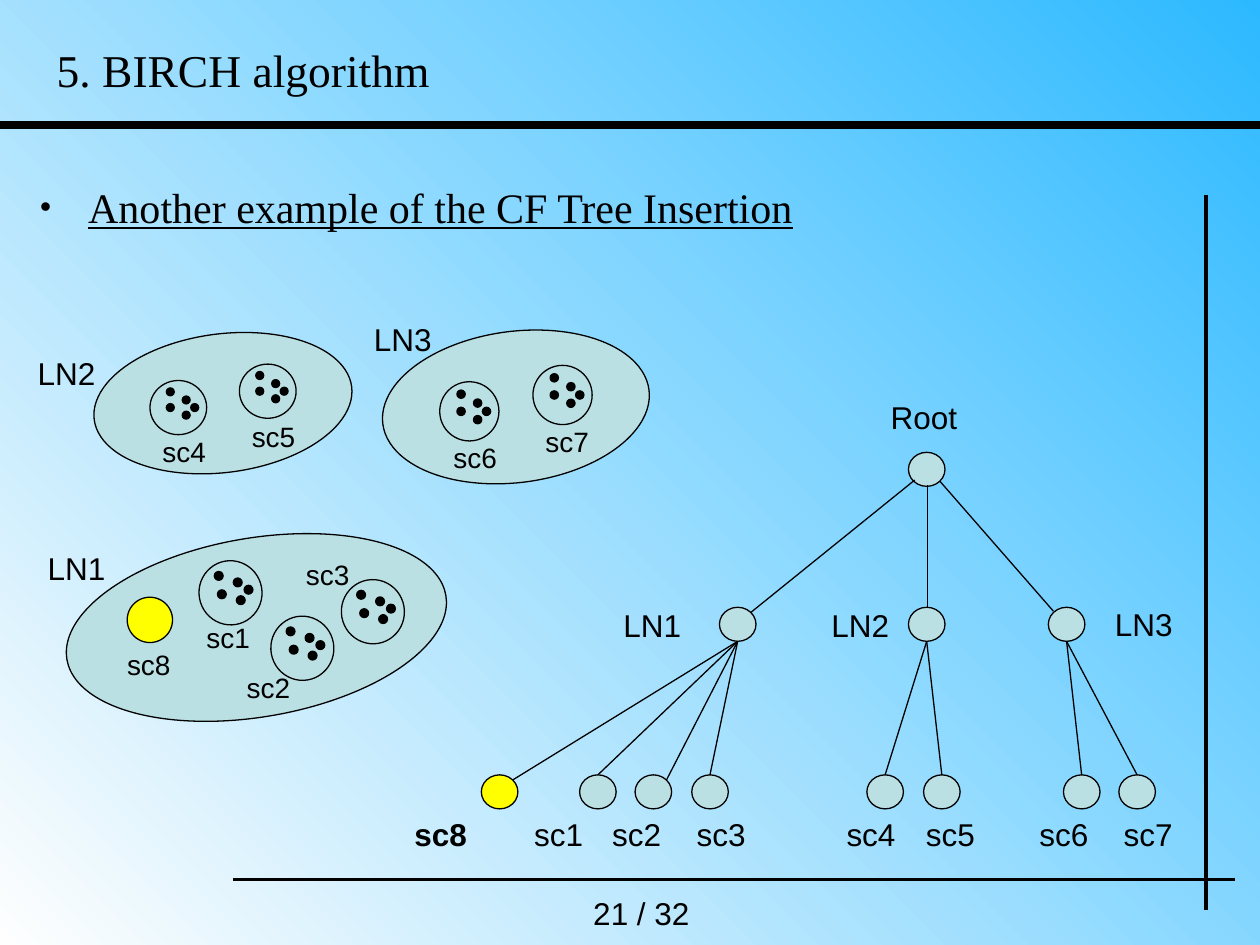
from math import cos, radians, sin

from lxml.etree import SubElement as Sub
from pptx import Presentation
from pptx.dml.color import RGBColor
from pptx.enum.shapes import MSO_CONNECTOR as Link, MSO_SHAPE as Kind
from pptx.enum.text import MSO_ANCHOR as Anchor, MSO_AUTO_SIZE as Auto, PP_ALIGN as Align
from pptx.oxml.ns import qn
from pptx.util import Cm, Pt

BLACK, TEAL, YELLOW = "000000", "BBE0E3", "FFFF00"
NODE_W, NODE_H = 0.29, 0.27
MID_Y, LEAF_Y = 4.82, 6.15
DOTS = [(0.36, 0.21), (0.79, 0.5), (0.64, 0.36), (0.64, 0.64), (0.36, 0.5)]

TREE = [
    ("LN1", 5.71, 4.85, 4.76, (5.96, 4.86), [
        ("sc8", 3.82, 3.19), ("sc1", 4.6, 4.14),
        ("sc2", 5.04, 4.76), ("sc3", 5.49, 5.43)]),
    ("LN2", 7.21, 6.5, 4.76, (7.36, 4.82), [
        ("sc4", 6.88, 6.62), ("sc5", 7.33, 7.25)]),
    ("LN3", 8.32, 8.75, 4.75, (8.36, 4.85), [
        ("sc6", 8.44, 8.15), ("sc7", 8.88, 8.82)]),
]
STARTS = {"LN1": (7.26, 3.81), "LN2": (7.36, 3.85), "LN3": (7.46, 3.82)}
SIDE = ("sc8", "sc2")

GROUPS = [
    ("LN3", (2.87, 2.49), (3.03, 2.63, 2.13, 1.2), -7.3, (0.47, 0.47), 0, [
        ("sc6", (3.49, 3.03), (3.5, 3.45)), ("sc7", (4.23, 2.9), (4.23, 3.32))]),
    ("LN2", (0.2, 2.76), (0.74, 2.65, 2.06, 1.1), -7.3, (0.45, 0.43), 0, [
        ("sc4", (1.19, 3.02), (1.19, 3.4)), ("sc5", (1.9, 2.89), (1.9, 3.28))]),
    ("LN1", (0.28, 4.31), (0.51, 4.27, 3.05, 1.42), -9.6, (0.5, 0.51), -9.7, [
        ("sc1", (1.58, 4.45), (1.54, 4.88)), ("sc2", (2.15, 4.89), (1.86, 5.27)),
        ("sc3", (2.71, 4.6), (2.33, 4.38))]),
]


def tint(code):
    return RGBColor.from_string(code)


def inch(*vals):
    return [Cm(2.54 * val) for val in vals]


def style(font, **form):
    look = {"name": "Arial", "size": Pt(18), **form}
    for key, val in look.items():
        setattr(font, key, val)
    font.color.rgb = tint(BLACK)


def label(slide, text, x, y, w=0.66, h=0.4, wrap=False, **form):
    box = slide.shapes.add_textbox(*inch(x, y, w, h))
    frame = box.text_frame
    frame.word_wrap = wrap
    frame.auto_size = Auto.SHAPE_TO_FIT_TEXT
    para = frame.paragraphs[0]
    run = para.add_run()
    run.text = text
    style(run.font, **form)
    return para


def oval(slide, x, y, w, h, fill=TEAL, turn=0):
    shape = slide.shapes.add_shape(Kind.OVAL, *inch(x, y, w, h))
    shape.shadow.inherit = False
    shape.fill.solid()
    shape.fill.fore_color.rgb = tint(fill)
    shape.line.color.rgb = tint(BLACK)
    shape.line.width = Pt(0.75)
    shape.rotation = turn


def line(slide, start, end, width=0.75):
    link = slide.shapes.add_connector(Link.STRAIGHT, *inch(*start, *end))
    link.line.color.rgb = tint(BLACK)
    link.line.width = Pt(width)
    Sub(link._element.spPr, qn("a:effectLst"))


def paint(slide):
    fill = slide.background.fill
    fill.gradient()
    fill.gradient_angle = 225
    for stop, code in zip(fill.gradient_stops, ("2DB9FF", "FEFEFE")):
        stop.color.rgb = tint(code)


def head(slide, text):
    title = slide.shapes.title
    title.left, title.top, title.width, title.height = inch(0.35, 0.28, 9.45, 0.54)
    frame = title.text_frame
    frame.text = text
    frame.auto_size = Auto.NONE
    frame.vertical_anchor = Anchor.TOP
    para = frame.paragraphs[0]
    para.alignment = Align.LEFT
    style(para.runs[0].font, name="Times New Roman", size=Pt(26))


def bullet(slide, text):
    para = label(slide, text, -0.04, 1.39, 6.54, 0.9, True,
                 name="Times New Roman", size=Pt(24), underline=True)
    props = para._p.get_or_add_pPr()
    props.set("marL", str(Cm(1.63)))
    props.set("indent", str(Cm(-0.97)))
    Sub(props, qn("a:buSzPct"), val="75000")
    Sub(props, qn("a:buFont"), typeface="Arial")
    Sub(props, qn("a:buChar"), char="•")


def cell(slide, x, y, w, h, turn):
    oval(slide, x, y, w, h, turn=turn)
    size = 0.14 * w
    angle = radians(turn)
    for across, down in DOTS:
        dx, dy = (across - 0.5) * w, (down - 0.5) * h
        left = x + w / 2 + dx * cos(angle) - dy * sin(angle) - size / 2
        top = y + h / 2 + dx * sin(angle) + dy * cos(angle) - size / 2
        oval(slide, left, top, size, size, BLACK)


def note(slide, text, x, y):
    label(slide, text, x, y, 0.55, 0.37, size=Pt(16))


def group(slide, name, spot, area, tilt, size, turn, cells):
    oval(slide, *area, turn=tilt)
    for tag, place, point in cells:
        cell(slide, *place, *size, turn)
        note(slide, tag, *point)
    label(slide, name, *spot)


def leaf(slide, foot, tag, x, left):
    new = tag == "sc8"
    end = (x + 0.25, LEAF_Y + 0.04) if tag in SIDE else (x + NODE_W / 2, LEAF_Y)
    line(slide, foot, end)
    oval(slide, x, LEAF_Y, NODE_W, NODE_H, YELLOW if new else TEAL)
    label(slide, tag, left, 6.42, 0.62 if new else 0.59, bold=new)


def tree(slide):
    label(slide, "Root", 6.97, 3.11, 0.73)
    oval(slide, 7.21, 3.59, NODE_W, NODE_H)
    for name, x, left, top, end, leaves in TREE:
        line(slide, STARTS[name], end)
        oval(slide, x, MID_Y, NODE_W, NODE_H)
        label(slide, name, left, top)
        foot = (x + NODE_W / 2, MID_Y + NODE_H)
        for item in leaves:
            leaf(slide, foot, *item)


def main():
    deck = Presentation()
    deck.slide_width, deck.slide_height = inch(10, 7.5)
    slide = deck.slides.add_slide(deck.slide_layouts[5])
    paint(slide)
    line(slide, (0, 0.99), (10, 0.99), 4.5)
    line(slide, (1.85, 6.98), (9.8, 6.98), 2)
    line(slide, (9.57, 7.22), (9.57, 1.55), 2)
    head(slide, "5. BIRCH algorithm")
    bullet(slide, "Another example of the CF Tree Insertion")
    label(slide, "21 / 32", 4.61, 7.05, 1.02, wrap=True)
    tree(slide)
    for item in GROUPS:
        group(slide, *item)
    oval(slide, 1.01, 4.74, 0.36, 0.36, YELLOW)
    note(slide, "sc8", 0.91, 5.09)
    deck.save("out.pptx")


if __name__ == "__main__":
    main()
